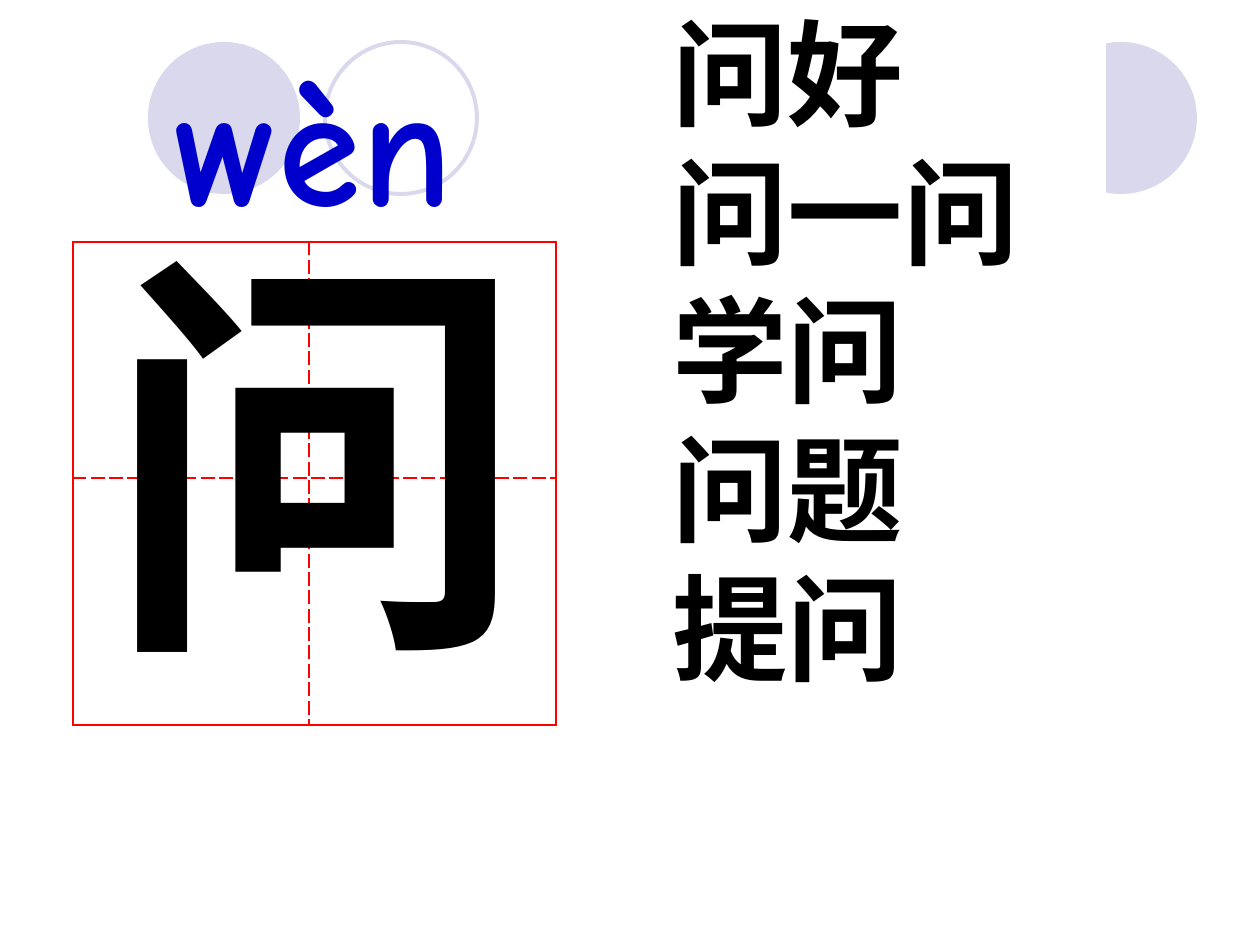
from dataclasses import dataclass

from lxml import etree
from pptx import Presentation
from pptx.dml.color import RGBColor
from pptx.enum.shapes import MSO_SHAPE
from pptx.enum.text import MSO_ANCHOR, PP_ALIGN
from pptx.oxml.ns import qn
from pptx.util import Emu, Pt

OVAL = MSO_SHAPE.OVAL
RECTANGLE = MSO_SHAPE.RECTANGLE
TOP = MSO_ANCHOR.TOP
LEFT = PP_ALIGN.LEFT
CENTER = PP_ALIGN.CENTER
PX = 914400 // 126


@dataclass(frozen=True)
class Theme:
    paper: str = "FFFFFF"
    ink: str = "000000"
    pinyin: str = "0000CC"
    grid: str = "FF0000"
    circle: str = "D9D8EC"
    latin: str = "Arial"
    rounded: str = "Comic Neue"
    chinese: str = "Noto Sans CJK SC"
    character_size: int = 240
    pinyin_size: int = 96
    word_size: int = 66
    ring_width: float = 2.25
    grid_width: float = 1.08


THEME = Theme()


def px(*lengths):
    return [Emu(length * PX) for length in lengths]


def color(value):
    return RGBColor.from_string(value)


def apply_format(target, values):
    for name, value in values.items():
        setattr(target, name, value)


def add_plain_shape(slide, preset, box, fill=None, line=None):
    shape = slide.shapes.add_shape(preset, *px(*box))
    shape.shadow.inherit = False
    if fill:
        shape.fill.solid()
        shape.fill.fore_color.rgb = color(fill)
    else:
        shape.fill.background()
    if line:
        shape.line.color.rgb = color(line)
        shape.line.width = Pt(THEME.ring_width)
    else:
        shape.line.fill.background()
    return shape


def write_lines(frame, lines, font_name, size, ink, align=LEFT, wrap=True):
    apply_format(frame, {"word_wrap": wrap, "vertical_anchor": TOP})
    for index, line in enumerate(lines):
        paragraph = frame.paragraphs[0] if index == 0 else frame.add_paragraph()
        paragraph.alignment = align
        run = paragraph.add_run()
        run.text = line
        run.font.color.rgb = color(ink)
        apply_format(run.font, {"name": font_name, "size": Pt(size), "bold": True})
        east_asian = etree.SubElement(run._r.get_or_add_rPr(), qn("a:ea"))
        east_asian.set("typeface", THEME.chinese)


def set_border(cell, side, position, dash):
    border = etree.Element(qn(f"a:ln{side}"), w=str(Pt(THEME.grid_width)))
    fill = etree.SubElement(border, qn("a:solidFill"))
    etree.SubElement(fill, qn("a:srgbClr"), val=THEME.grid)
    etree.SubElement(border, qn("a:prstDash"), val=dash)
    cell._tc.get_or_add_tcPr().insert(position, border)


def add_writing_grid(slide, left, top, spans):
    side = sum(spans)
    grid = slide.shapes.add_table(2, 2, *px(left, top, side, side)).table
    for index, span in enumerate(px(*spans)):
        grid.columns[index].width = span
        grid.rows[index].height = span
    for row in range(2):
        for column in range(2):
            cell = grid.cell(row, column)
            cell.fill.solid()
            cell.fill.fore_color.rgb = color(THEME.paper)
            inner = {"L": column == 1, "R": column == 0, "T": row == 1, "B": row == 0}
            for position, (edge, dashed) in enumerate(inner.items()):
                set_border(cell, edge, position, "dash" if dashed else "solid")


def add_label(slide, box, text, font_name, size, ink, align, wrap):
    label = slide.shapes.add_textbox(*px(*box))
    write_lines(label.text_frame, [text], font_name, size, ink, align, wrap)


def add_word_list(slide, box, words):
    panel = add_plain_shape(slide, RECTANGLE, box, fill=THEME.paper)
    write_lines(panel.text_frame, words, THEME.chinese, THEME.word_size, THEME.ink)


def main():
    deck = Presentation()
    deck.slide_width, deck.slide_height = px(1260, 945)
    slide = deck.slides.add_slide(deck.slide_layouts[6])

    for left, fill, line in (
        (1045, THEME.circle, None),
        (148, THEME.circle, None),
        (325, None, THEME.circle),
    ):
        add_plain_shape(slide, OVAL, (left, 42, 152, 152), fill, line)

    add_writing_grid(slide, 73, 242, (236, 247))
    add_label(slide, (94, 189, 445, 517), "问", THEME.latin,
              THEME.character_size, THEME.ink, LEFT, False)
    add_label(slide, (105, 32, 417, 214), "wèn", THEME.rounded,
              THEME.pinyin_size, THEME.pinyin, CENTER, True)
    add_word_list(slide, (660, -4, 446, 844),
                  ["问好", "问一问", "学问", "问题", "提问"])
    deck.save("out.pptx")


if __name__ == "__main__":
    main()
